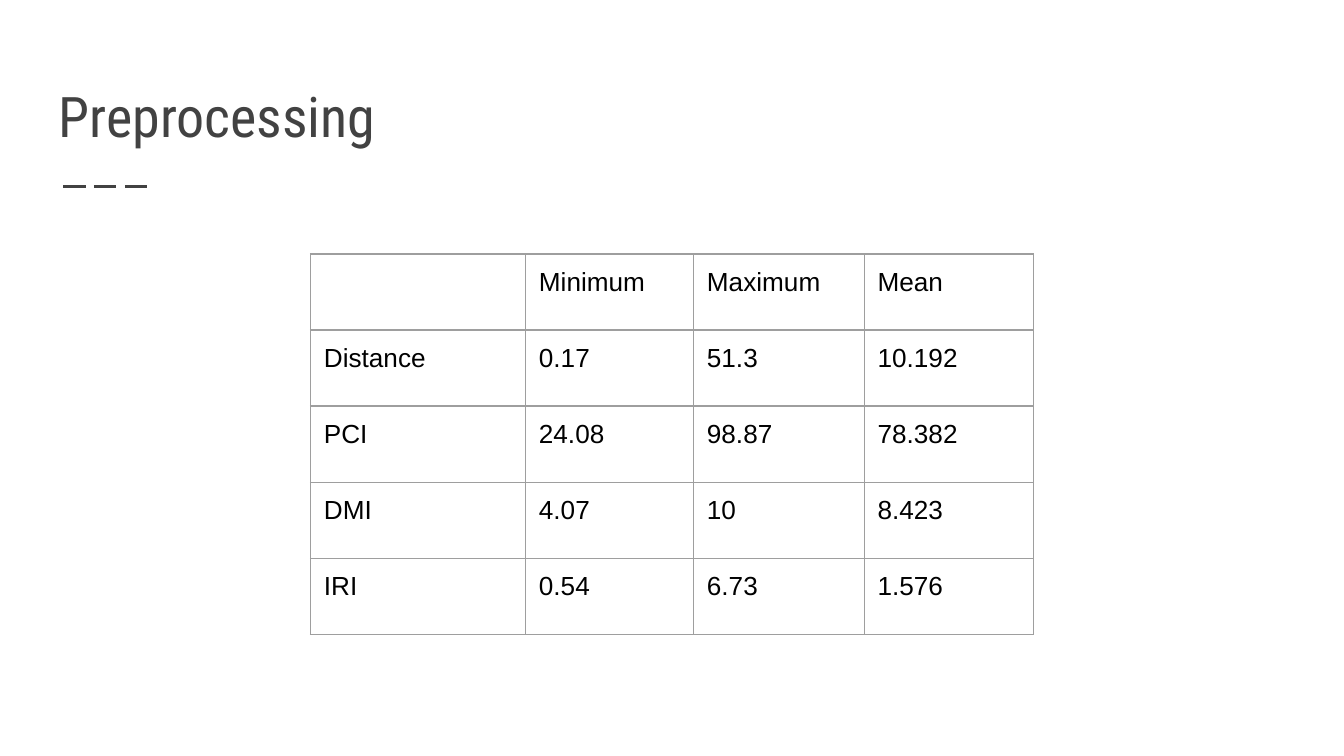
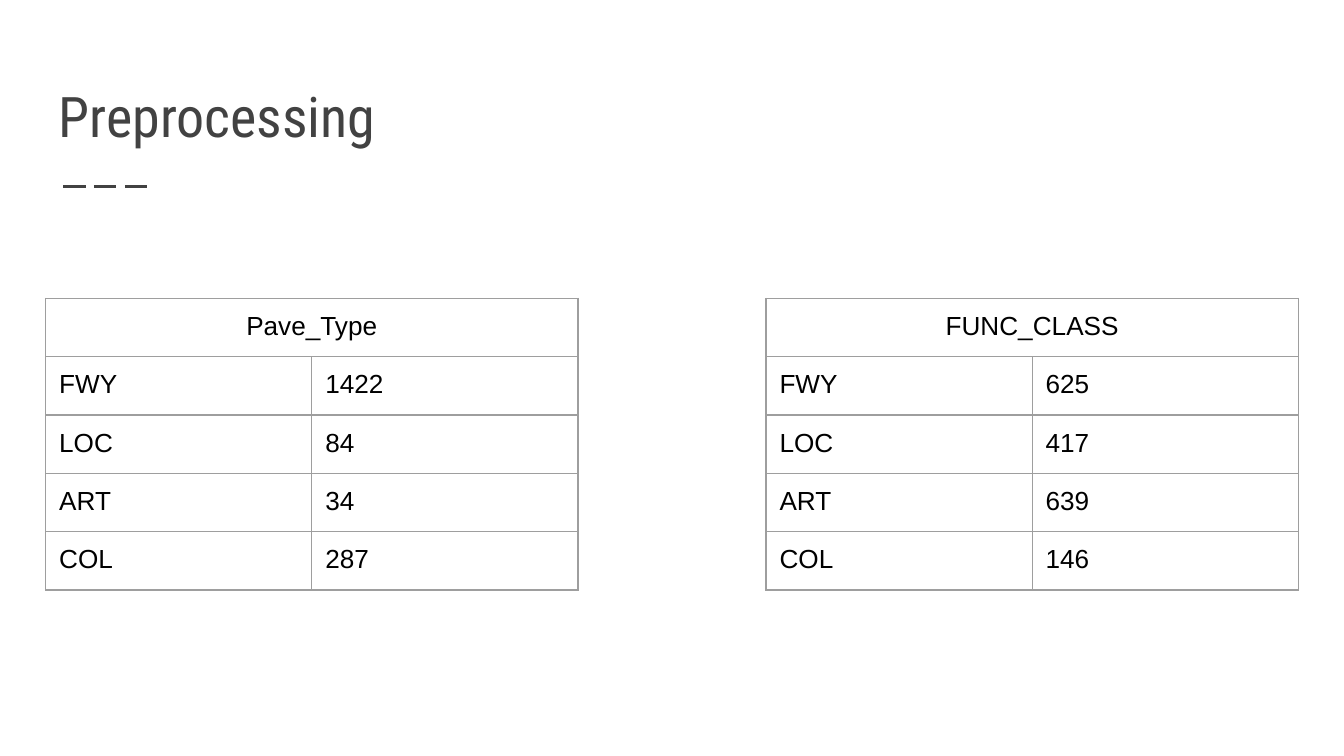
import lxml.etree
import pptx
import pptx.dml.color
import pptx.enum.dml
import pptx.enum.shapes
import pptx.enum.text
import pptx.oxml.ns
import pptx.util

Inches = pptx.util.Inches
Pt = pptx.util.Pt
qn = pptx.oxml.ns.qn

INK, GRID, BLACK, WHITE = "424242", "9E9E9E", "000000", "FFFFFF"
SLIDE_WIDTH = Inches(10)
SLIDE_HEIGHT = SLIDE_WIDTH * 9 // 16
TITLE_FONT = {"name": "Roboto Condensed", "size": Pt(30)}
CELL_FONT = {"name": "Arial", "size": Pt(14)}
MARGINS = {f"margin_{side}": Inches(0.1) for side in ("left", "right", "top", "bottom")}

SUMMARY = {
    "left": 2.31, "top": 1.89, "columns": [1.6, 1.25, 1.27, 1.26], "height": 2.83,
    "rows": [
        ["", "Minimum", "Maximum", "Mean"],
        ["Distance", "0.17", "51.3", "10.192"],
        ["PCI", "24.08", "98.87", "78.382"],
        ["DMI", "4.07", "10", "8.423"],
        ["IRI", "0.54", "6.73", "1.576"],
    ],
}
COUNT_LAYOUT = {"top": 2.22, "columns": [1.98, 1.98], "height": 2.09}
PAVE_TYPE = {
    **COUNT_LAYOUT, "left": 0.34, "heading": "Pave_Type",
    "rows": [["FWY", "1422"], ["LOC", "84"], ["ART", "34"], ["COL", "287"]],
}
FUNC_CLASS = {
    **COUNT_LAYOUT, "left": 5.7, "heading": "FUNC_CLASS",
    "rows": [["FWY", "625"], ["LOC", "417"], ["ART", "639"], ["COL", "146"]],
}
PAGES = [
    ("Preprocessing", [SUMMARY]),
    ("Preprocessing", [PAVE_TYPE, FUNC_CLASS]),
]


def color(hex_string):
    return pptx.dml.color.RGBColor.from_string(hex_string)


def apply(target, values):
    for name, value in values.items():
        setattr(target, name, value)


def add_span(para, text, font, hex_string):
    span = para.add_run()
    span.text = text
    apply(span.font, font)
    span.font.color.rgb = color(hex_string)


def add_title(page, text):
    """Add the title and the dashed rule beneath it."""
    rule = page.shapes.add_connector(
        pptx.enum.shapes.MSO_CONNECTOR.STRAIGHT,
        Inches(0.47), Inches(1.39), Inches(1.14), Inches(1.39))
    rule.line.color.rgb = color(INK)
    rule.line.width = Pt(1.5)
    rule.line.dash_style = pptx.enum.dml.MSO_LINE.LONG_DASH
    lxml.etree.SubElement(rule._element.spPr, qn("a:effectLst"))

    box = page.shapes.add_textbox(Inches(0.34), Inches(0.41), Inches(9.32), Inches(0.8))
    frame = box.text_frame
    apply(frame, {**MARGINS, "word_wrap": True,
                  "vertical_anchor": pptx.enum.text.MSO_ANCHOR.BOTTOM})
    add_span(frame.paragraphs[0], text, TITLE_FONT, INK)


def add_borders(cell):
    properties = cell._tc.get_or_add_tcPr()
    for tag in ("a:lnL", "a:lnR", "a:lnT", "a:lnB"):
        line = lxml.etree.SubElement(properties, qn(tag), w=str(Pt(0.75)))
        fill = lxml.etree.SubElement(line, qn("a:solidFill"))
        lxml.etree.SubElement(fill, qn("a:srgbClr"), val=GRID)


def fill_cell(cell, text):
    apply(cell, MARGINS)
    add_borders(cell)
    cell.fill.background()
    para = cell.text_frame.paragraphs[0]
    if text:
        add_span(para, text, CELL_FONT, BLACK)
    else:
        # An empty cell would otherwise stretch its row to the default text size.
        size = str(int(CELL_FONT["size"].pt * 100))
        lxml.etree.SubElement(para._p, qn("a:endParaRPr"), sz=size)


def add_grid(page, content):
    """Add a table; a heading, if given, spans a first row of its own."""
    columns, rows = content["columns"], content["rows"]
    heading = content.get("heading")
    if heading:
        rows = [[heading] + [""] * (len(columns) - 1)] + rows
    height = Inches(content["height"])
    table = page.shapes.add_table(
        len(rows), len(columns), Inches(content["left"]), Inches(content["top"]),
        Inches(sum(columns)), height).table
    apply(table, {"first_row": False, "horz_banding": False})
    for column, width in zip(table.columns, columns):
        column.width = Inches(width)
    for row, texts in zip(table.rows, rows):
        row.height = height // len(rows)
        for cell, text in zip(row.cells, texts):
            fill_cell(cell, text)
    if heading:
        first = table.cell(0, 0)
        first.merge(table.cell(0, len(columns) - 1))
        first.text_frame.paragraphs[0].alignment = pptx.enum.text.PP_ALIGN.CENTER


def main():
    deck = pptx.Presentation()
    apply(deck, {"slide_width": SLIDE_WIDTH, "slide_height": SLIDE_HEIGHT})
    for title, grids in PAGES:
        page = deck.slides.add_slide(deck.slide_layouts[6])
        page.background.fill.solid()
        page.background.fill.fore_color.rgb = color(WHITE)
        add_title(page, title)
        for content in grids:
            add_grid(page, content)
    deck.save("out.pptx")


if __name__ == "__main__":
    main()
